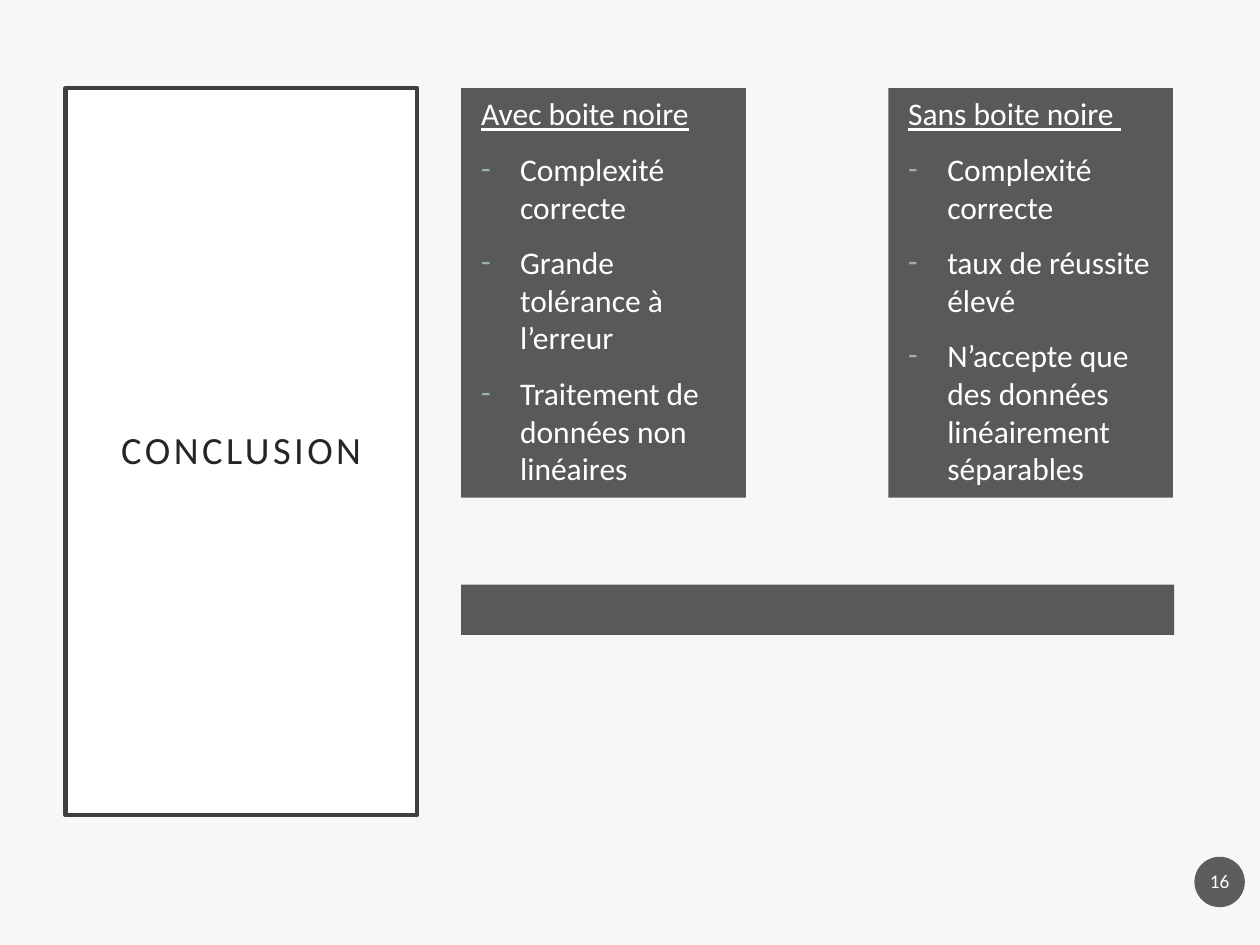
import pptx
import pptx.dml.color
import pptx.enum.shapes
import pptx.enum.text
import pptx.oxml
import pptx.oxml.ns
import pptx.util
from pptx.util import Inches

SHAPE = pptx.enum.shapes.MSO_SHAPE
ANCHOR = pptx.enum.text.MSO_ANCHOR
CENTER = pptx.enum.text.PP_ALIGN.CENTER
NS = pptx.oxml.ns.nsdecls("a")
DARK_GREY = "595959"


def paint(target, color):
    """Give a fill or a line fill one solid colour."""
    target.solid()
    target.fore_color.rgb = pptx.dml.color.RGBColor.from_string(color)


def add_panel(kind, left, top, width, height, fill):
    panel = slide.shapes.add_shape(
        kind, Inches(left), Inches(top), Inches(width), Inches(height))
    panel.shadow.inherit = False
    paint(panel.fill, fill)
    panel.line.fill.background()
    panel.text_frame.word_wrap = True
    return panel


deck = pptx.Presentation()
deck.slide_width, deck.slide_height = Inches(10), Inches(7.5)
slide = deck.slides.add_slide(deck.slide_layouts[6])
paint(slide.background.fill, "F7F7F7")

# Framed title and round page number
title = add_panel(SHAPE.RECTANGLE, 0.52, 0.7, 2.79, 5.77, "FFFFFF")
paint(title.line.fill, "404040")
title.line.width = pptx.util.Pt(2.5)
page_number = add_panel(SHAPE.OVAL, 9.48, 6.8, 0.4, 0.4, "1D1D1D")
disc_color = page_number.fill._xPr.find(".//" + pptx.oxml.ns.qn("a:srgbClr"))
disc_color.append(pptx.oxml.parse_xml(f'<a:alpha {NS} val="70000"/>'))

for label, text, size, color, side, edge in (
    (title, "CONCLUSION", 22, "262626", 0.2, 0.2),
    (page_number, "16", 11, "FFFFFF", 0.02, 0.05),
):
    frame = label.text_frame
    frame.vertical_anchor = ANCHOR.MIDDLE
    frame.margin_left = frame.margin_right = Inches(side)
    frame.margin_top = frame.margin_bottom = Inches(edge)
    line = frame.paragraphs[0]
    line.alignment = CENTER
    line.line_spacing = 0.9
    run = line.add_run()
    run.text = text
    run.font.name = "Calibri"
    run.font.size = pptx.util.Pt(size)
    paint(run.font.fill, color)
title.text_frame.paragraphs[0].runs[0].font._element.set("spc", "200")
page_number.text_frame.paragraphs[0].space_after = pptx.util.Pt(6)

# Two columns: underlined heading, then dashed points
columns = (
    (3.66, ("Avec boite noire", "Complexité correcte",
            "Grande tolérance à l’erreur",
            "Traitement de données non linéaires")),
    (7.05, ("Sans boite noire ", "Complexité correcte",
            "taux de réussite élevé",
            "N’accepte que des données linéairement séparables")),
)
for left, texts in columns:
    column = add_panel(SHAPE.RECTANGLE, left, 0.7, 2.26, 3.25, DARK_GREY)
    frame = column.text_frame
    frame.vertical_anchor = ANCHOR.TOP
    frame.auto_size = pptx.enum.text.MSO_AUTO_SIZE.SHAPE_TO_FIT_TEXT
    for index, text in enumerate(texts):
        is_heading = index == 0
        line = frame.paragraphs[0] if is_heading else frame.add_paragraph()
        line.alignment = pptx.enum.text.PP_ALIGN.LEFT
        line.space_before = pptx.util.Pt(10)
        margin, indent = (0.06, 0) if is_heading else (0.37, -0.31)
        properties = line._p.get_or_add_pPr()
        properties.set("marL", str(Inches(margin)))
        properties.set("indent", str(Inches(indent)))
        if not is_heading:
            for bullet in (
                f'<a:buClr {NS}><a:srgbClr val="9BAFB5"/></a:buClr>',
                f'<a:buFont {NS} typeface="Calibri"/>',
                f'<a:buChar {NS} char="-"/>',
            ):
                properties.append(pptx.oxml.parse_xml(bullet))
        run = line.add_run()
        run.text = text
        run.font.name = "Calibri"
        run.font.size = pptx.util.Pt(18)
        run.font.underline = is_heading
        paint(run.font.fill, "FFFFFF")

# Empty bar under both columns
add_panel(SHAPE.RECTANGLE, 3.66, 4.64, 5.66, 0.4, DARK_GREY)

deck.save("out.pptx")
